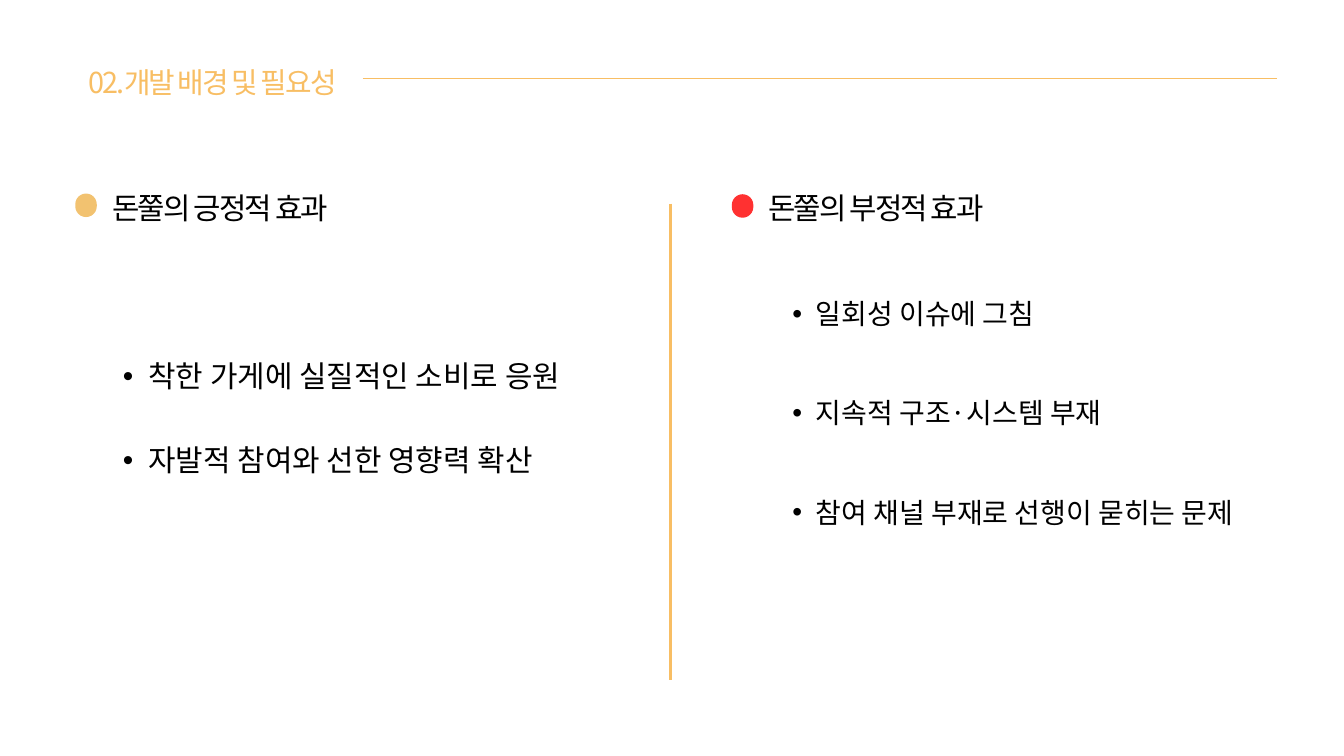
from dataclasses import dataclass

import pptx
import pptx.dml.color
import pptx.enum.shapes
import pptx.enum.text
import pptx.oxml.ns
import pptx.util
from lxml import etree

Pt = pptx.util.Pt
FONT = "Noto Sans CJK KR"
GOLD = "F8BE64"
BLACK = "000000"


@dataclass
class TextStyle:
    size: float
    line: float
    color: str = BLACK
    tracking: float = 0
    gap: float = 0
    indent: float = 0
    hanging: float = 0


@dataclass
class Column:
    dot: tuple[float, float]
    dot_color: str
    heading: str
    heading_left: float
    heading_index: int
    list_area: tuple[float, float, float, float]
    list_style: TextStyle
    items: list[str]


TITLE_STYLE = TextStyle(30.9, 43.3, GOLD, tracking=-2)
HEADING_STYLE = TextStyle(31.9, 44.7, tracking=-2)

COLUMNS = [
    Column((80.64, 207.36), "F2C270", "돈쭐의 긍정적 효과", 120.24, 1,
           (104.4, 377.28, 523.44, 131.76),
           TextStyle(32, 44.8, gap=44.8, indent=54.72, hanging=27.36),
           ["착한 가게에 실질적인 소비로 응원", "자발적 참여와 선한 영향력 확산"]),
    Column((784.08, 208.08), "FF3131", "돈쭐의 부정적 효과", 822.96, 3,
           (822.96, 311.76, 516.24, 254.88),
           TextStyle(30, 42, gap=64.5, indent=51.12, hanging=25.2),
           ["일회성 이슈에 그침", "지속적 구조·시스템 부재", "참여 채널 부재로 선행이 묻히는 문제"]),
]


def rgb(value: str) -> pptx.dml.color.RGBColor:
    return pptx.dml.color.RGBColor.from_string(value)


def add_tag(parent, tag: str, **attributes: str):
    return etree.SubElement(parent, pptx.oxml.ns.qn(tag), attributes)


def apply(target, values: dict) -> None:
    for name, value in values.items():
        setattr(target, name, value)


def fill_placeholder(box, area: tuple, lines: list[str], style: TextStyle) -> None:
    apply(box, dict(zip(("left", "top", "width", "height"), map(Pt, area))))
    frame = box.text_frame
    apply(frame, {
        "margin_left": 0, "margin_top": 0, "margin_right": 0, "margin_bottom": 0,
        "word_wrap": True,
        "auto_size": pptx.enum.text.MSO_AUTO_SIZE.NONE,
        "vertical_anchor": pptx.enum.text.MSO_ANCHOR.TOP,
    })
    for number, line in enumerate(lines):
        para = frame.paragraphs[0] if number == 0 else frame.add_paragraph()
        apply(para, {
            "alignment": pptx.enum.text.PP_ALIGN.LEFT,
            "line_spacing": Pt(style.line),
            "space_before": Pt(0),
            "space_after": Pt(style.gap),
        })
        properties = para._p.get_or_add_pPr()
        properties.set("marL", str(Pt(style.indent)))
        properties.set("indent", str(-Pt(style.hanging)))
        if style.hanging:
            add_tag(properties, "a:buFont", typeface="Arial")
            add_tag(properties, "a:buChar", char="•")
        span = para.add_run()
        span.text = line
        apply(span.font, {"name": FONT, "size": Pt(style.size), "bold": False})
        span.font.color.rgb = rgb(style.color)
        run_properties = span._r.get_or_add_rPr()
        run_properties.set("spc", str(round(style.tracking * 100)))
        add_tag(run_properties, "a:ea", typeface=FONT)


def add_rule(page, start: tuple, end: tuple, weight: float) -> None:
    rule = page.shapes.add_connector(
        pptx.enum.shapes.MSO_CONNECTOR.STRAIGHT, *map(Pt, start + end))
    rule.line.color.rgb = rgb(GOLD)
    rule.line.width = Pt(weight)
    add_tag(rule._element.spPr, "a:effectLst")


def add_dot(page, corner: tuple[float, float], color: str) -> None:
    dot = page.shapes.add_shape(
        pptx.enum.shapes.MSO_SHAPE.ROUNDED_RECTANGLE,
        *map(Pt, corner), Pt(23.04), Pt(25.2))
    dot.adjustments[0] = 0.5
    dot.shadow.inherit = False
    dot.fill.solid()
    dot.fill.fore_color.rgb = rgb(color)
    dot.line.fill.background()


def add_column(page, column: Column) -> None:
    add_dot(page, column.dot, column.dot_color)
    boxes = {box.placeholder_format.idx: box for box in page.placeholders}
    fill_placeholder(boxes[column.heading_index],
                     (column.heading_left, 196.56, 341.28, 43.2),
                     [column.heading], HEADING_STYLE)
    fill_placeholder(boxes[column.heading_index + 1], column.list_area,
                     column.items, column.list_style)


def main() -> None:
    deck = pptx.Presentation()
    apply(deck, {"slide_width": Pt(1440), "slide_height": Pt(810)})
    # Comparison layout: a title, then a heading and a list on each side
    page = deck.slides.add_slide(deck.slide_layouts[4])

    # Title with its rule
    fill_placeholder(page.shapes.title, (94.32, 62.64, 294.48, 41.76),
                     ["02.개발 배경 및 필요성"], TITLE_STYLE)
    add_rule(page, (388.8, 84.24), (1368, 84.24), 0.75)

    # Two columns and the divider between them
    for column in COLUMNS:
        add_column(page, column)
    add_rule(page, (718.56, 218.16), (718.56, 728.64), 3)

    deck.save("out.pptx")


if __name__ == "__main__":
    main()
